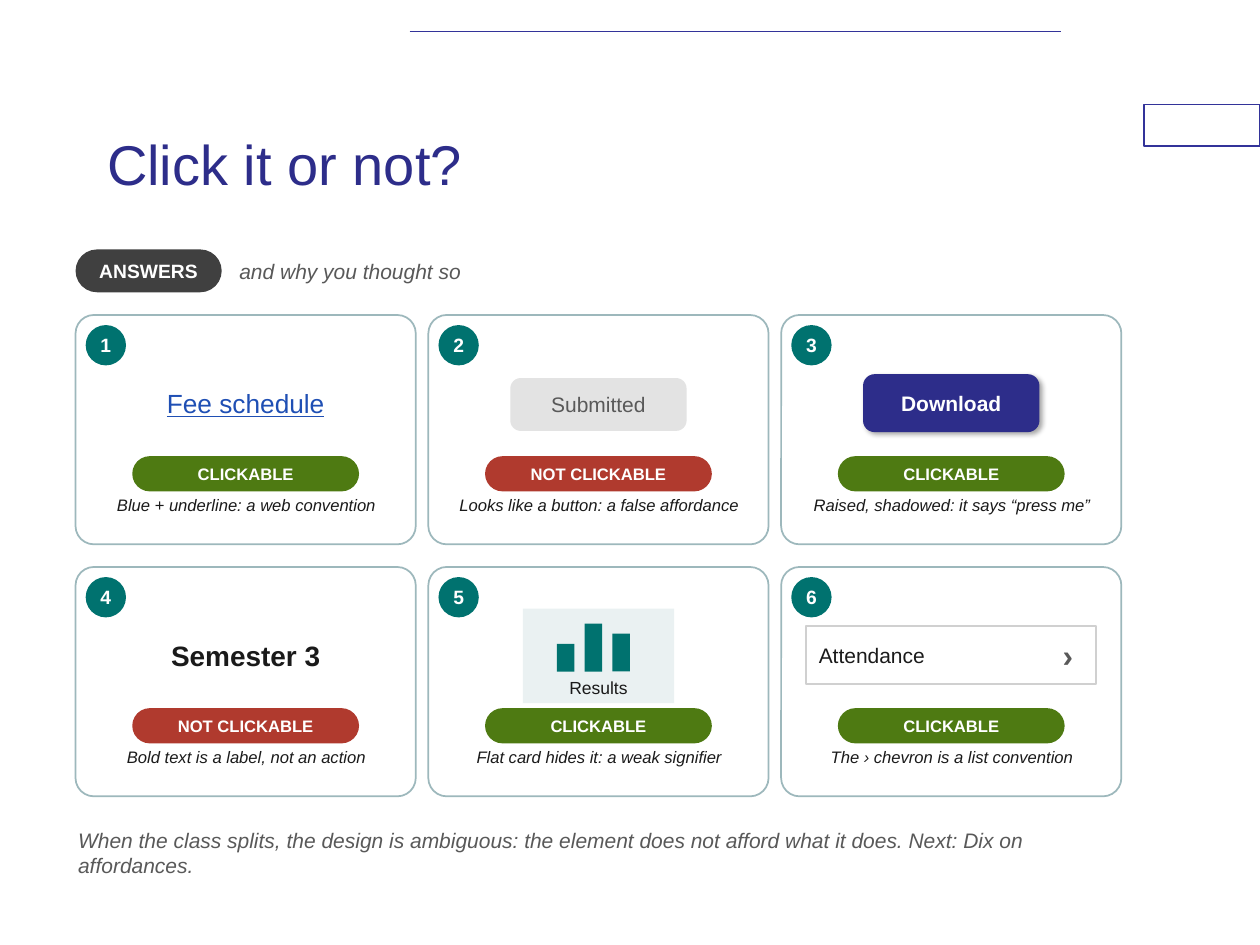
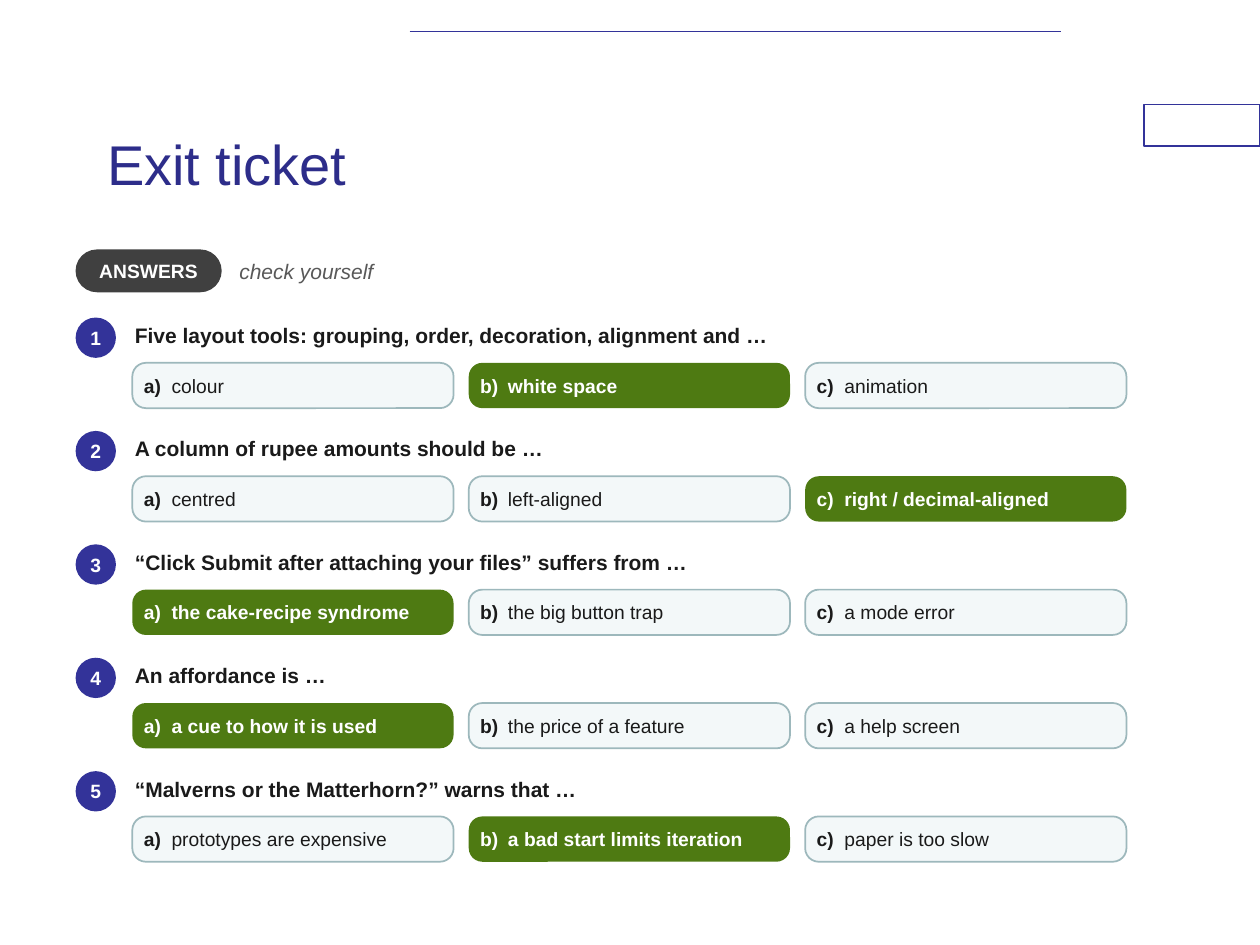
from lxml.etree import SubElement
from pptx import Presentation
from pptx.dml.color import RGBColor
from pptx.enum.shapes import MSO_CONNECTOR, MSO_SHAPE
from pptx.enum.text import MSO_ANCHOR, PP_ALIGN
from pptx.oxml.ns import qn
from pptx.util import Inches, Pt

COLOURS = {
    "white": "FFFFFF", "ink": "1A1A1A", "muted": "595959", "charcoal": "404040",
    "title": "2D2D8A", "indigo": "333399", "teal": "00726F", "link": "1F4FB4",
    "right": "4E7A12", "wrong": "B03A2E", "border": "9DB8BC", "option": "F3F8F9",
    "disabled": "E3E3E3", "flat": "EAF1F2", "row border": "D0D0D0",
}
FONT = "Arial"
LEFT = 0.6
BADGE = 0.32


def colour(name):
    return RGBColor.from_string(COLOURS[name])


def add(slide, box, text=None, kind=None, fill=None, line=None, radius=None, size=12,
        ink="ink", bold=None, italic=None, underline=None, align=PP_ALIGN.CENTER,
        anchor=MSO_ANCHOR.MIDDLE, inset=0.0, line_width=1.0, tab=None):
    """Add a preset shape, or a text box when no kind is given; box is in inches."""
    box = [Inches(length) for length in box]
    if kind is None:
        item = slide.shapes.add_textbox(*box)
    else:
        item = slide.shapes.add_shape(kind, *box)
        item.shadow.inherit = False
        item.fill.solid()
        item.fill.fore_color.rgb = colour(fill)
        if line:
            item.line.color.rgb = colour(line)
            item.line.width = Pt(line_width)
        else:
            item.line.fill.background()
        if radius is not None:
            item.adjustments[0] = radius
    if text:
        frame = item.text_frame
        frame.word_wrap = True
        frame.vertical_anchor = anchor
        frame.margin_left = frame.margin_right = Inches(inset)
        frame.margin_top = frame.margin_bottom = Inches(inset)
        paragraph = frame.paragraphs[0]
        paragraph.alignment = align
        if tab:
            stops = SubElement(paragraph._p.get_or_add_pPr(), qn("a:tabLst"))
            SubElement(stops, qn("a:tab"), pos=str(Inches(tab)), algn="l")
        font = paragraph.font
        font.name, font.size = FONT, Pt(size)
        font.bold, font.italic, font.underline = bold, italic, underline
        font.color.rgb = colour(ink)
        paragraph.add_run().text = text
    return item


RECT, ROUND, OVAL = MSO_SHAPE.RECTANGLE, MSO_SHAPE.ROUNDED_RECTANGLE, MSO_SHAPE.OVAL
BADGE_STYLE = dict(kind=OVAL, size=11, ink="white", bold=True)

presentation = Presentation()
presentation.slide_width, presentation.slide_height = Inches(10), Inches(7.5)

# Shared header: corner tab, top rule, title, answers pill and its remark
slides = []
for heading, remark in [("Click it or not?", "and why you thought so"),
                        ("Exit ticket", "check yourself")]:
    slide = presentation.slides.add_slide(presentation.slide_layouts[5])
    slides.append(slide)
    add(slide, (9.08, 0.83, 0.92, 0.33), kind=RECT, fill="white", line="indigo",
        line_width=0.75)
    rule = slide.shapes.add_connector(MSO_CONNECTOR.STRAIGHT, Inches(3.25), Inches(0.25),
                                      Inches(8.42), Inches(0.25))
    rule.line.color.rgb = colour("indigo")
    rule.line.width = Pt(1)
    SubElement(rule._element.spPr, qn("a:effectLst"))

    title = slide.shapes.title
    title.left, title.top = Inches(0.75), Inches(0.67)
    title.width, title.height = Inches(7.5), Inches(1.25)
    title.text_frame.text = heading
    title.text_frame.vertical_anchor = MSO_ANCHOR.MIDDLE
    title_line = title.text_frame.paragraphs[0]
    title_line.alignment = PP_ALIGN.LEFT
    title_line.font.name, title_line.font.size = FONT, Pt(32)
    title_line.font.color.rgb = colour("title")

    add(slide, (LEFT, 1.98, 1.16, 0.34), "ANSWERS", ROUND, "charcoal", radius=0.5,
        size=11, ink="white", bold=True, inset=0.03)
    add(slide, (1.88, 1.98, 7.03, 0.34), remark, ink="muted", italic=True,
        align=PP_ALIGN.LEFT, inset=0.02)

quiz, ticket = slides

# Slide 1: three columns and two rows of cards
card_width, card_height = 2.7, 1.82
card_lefts = [LEFT + 2.8 * column for column in range(3)]
card_tops = [2.5 + 2 * row for row in range(2)]
verdicts = [
    (True, "Blue + underline: a web convention"),
    (False, "Looks like a button: a false affordance"),
    (True, "Raised, shadowed: it says “press me”"),
    (False, "Bold text is a label, not an action"),
    (True, "Flat card hides it: a weak signifier"),
    (True, "The › chevron is a list convention"),
]
for index, (clickable, reason) in enumerate(verdicts):
    left, top = card_lefts[index % 3], card_tops[index // 3]
    add(quiz, (left, top, card_width, card_height), kind=ROUND, fill="white",
        line="border", radius=0.08)
    add(quiz, (left + 0.08, top + 0.08, BADGE, BADGE), str(index + 1), fill="teal",
        **BADGE_STYLE)
    add(quiz, (left + 0.45, top + 1.12, 1.8, 0.28),
        "CLICKABLE" if clickable else "NOT CLICKABLE", ROUND,
        "right" if clickable else "wrong", radius=0.5, size=9.5, ink="white",
        bold=True, inset=0.03)
    add(quiz, (left + 0.08, top + 1.43, 2.55, 0.36), reason, size=9.5, italic=True,
        anchor=MSO_ANCHOR.TOP)

# The interface element shown in each card
first, second, third = card_lefts
upper, lower = card_tops
add(quiz, (first + 0.2, upper + 0.45, 2.3, 0.5), "Fee schedule", size=15, ink="link",
    underline=True, inset=0.04)
add(quiz, (second + 0.65, upper + 0.5, 1.4, 0.42), "Submitted", ROUND, "disabled",
    radius=0.2, ink="muted", inset=0.04)
download = add(quiz, (third + 0.65, upper + 0.47, 1.4, 0.46), "Download", ROUND, "title",
               radius=0.2, ink="white", bold=True, inset=0.04)
shadow = SubElement(download._element.spPr.find(qn("a:effectLst")), qn("a:outerShdw"),
                    blurRad=str(Pt(3)), dist=str(Pt(2)), dir=str(45 * 60000),
                    algn="tl", rotWithShape="0")
shadow_colour = SubElement(shadow, qn("a:srgbClr"), val="000000")
SubElement(shadow_colour, qn("a:alpha"), val="35000")

add(quiz, (first + 0.2, lower + 0.45, 2.3, 0.5), "Semester 3", size=16, bold=True,
    inset=0.04)
add(quiz, (second + 0.75, lower + 0.33, 1.2, 0.75), kind=RECT, fill="flat")
for position, bar_height in enumerate([0.22, 0.38, 0.3]):
    add(quiz, (second + 1.02 + 0.22 * position, lower + 0.83 - bar_height, 0.14, bar_height),
        kind=RECT, fill="teal")
add(quiz, (second + 0.75, lower + 0.87, 1.2, 0.22), "Results", size=10,
    anchor=MSO_ANCHOR.TOP)
add(quiz, (third + 0.2, lower + 0.47, 2.3, 0.46), "Attendance", RECT, "white",
    "row border", align=PP_ALIGN.LEFT, inset=0.1)
add(quiz, (third + 2.1, lower + 0.47, 0.35, 0.46), "›", size=18, ink="muted", bold=True)

add(quiz, (LEFT, 6.55, 8.3, 0.5),
    "When the class splits, the design is ambiguous: the element does not afford "
    "what it does. Next: Dix on affordances.",
    ink="muted", italic=True, align=PP_ALIGN.LEFT, anchor=MSO_ANCHOR.TOP, inset=0.02)

# Slide 2: five questions, each with three options and the letter of the answer
questions = [
    ("Five layout tools: grouping, order, decoration, alignment and …",
     ["colour", "white space", "animation"], "b"),
    ("A column of rupee amounts should be …",
     ["centred", "left-aligned", "right / decimal-aligned"], "c"),
    ("“Click Submit after attaching your files” suffers from …",
     ["the cake-recipe syndrome", "the big button trap", "a mode error"], "a"),
    ("An affordance is …",
     ["a cue to how it is used", "the price of a feature", "a help screen"], "a"),
    ("“Malverns or the Matterhorn?” warns that …",
     ["prototypes are expensive", "a bad start limits iteration", "paper is too slow"], "b"),
]
option_left, option_width, option_gap, row_height = 1.05, 2.55, 0.12, 0.36
for number, (question, options, answer) in enumerate(questions, 1):
    top = 2.48 + 0.9 * (number - 1)
    add(ticket, (LEFT, top + 0.04, BADGE, BADGE), str(number), fill="indigo", **BADGE_STYLE)
    add(ticket, (option_left, top, 7.85, row_height), question, bold=True,
        align=PP_ALIGN.LEFT, inset=0.02)
    for column, (letter, option) in enumerate(zip("abc", options)):
        correct = letter == answer
        choice = add(
            ticket,
            (option_left + column * (option_width + option_gap), top + 0.4,
             option_width, row_height),
            f"{letter})\t", ROUND, "right" if correct else "option",
            None if correct else "border", radius=0.3, size=11,
            ink="white" if correct else "ink", align=PP_ALIGN.LEFT, inset=0.06, tab=0.22)
        label = choice.text_frame.paragraphs[0]
        label.runs[0].font.bold = True
        wording = label.add_run()
        wording.text = option
        wording.font.bold = correct

presentation.save("out.pptx")
